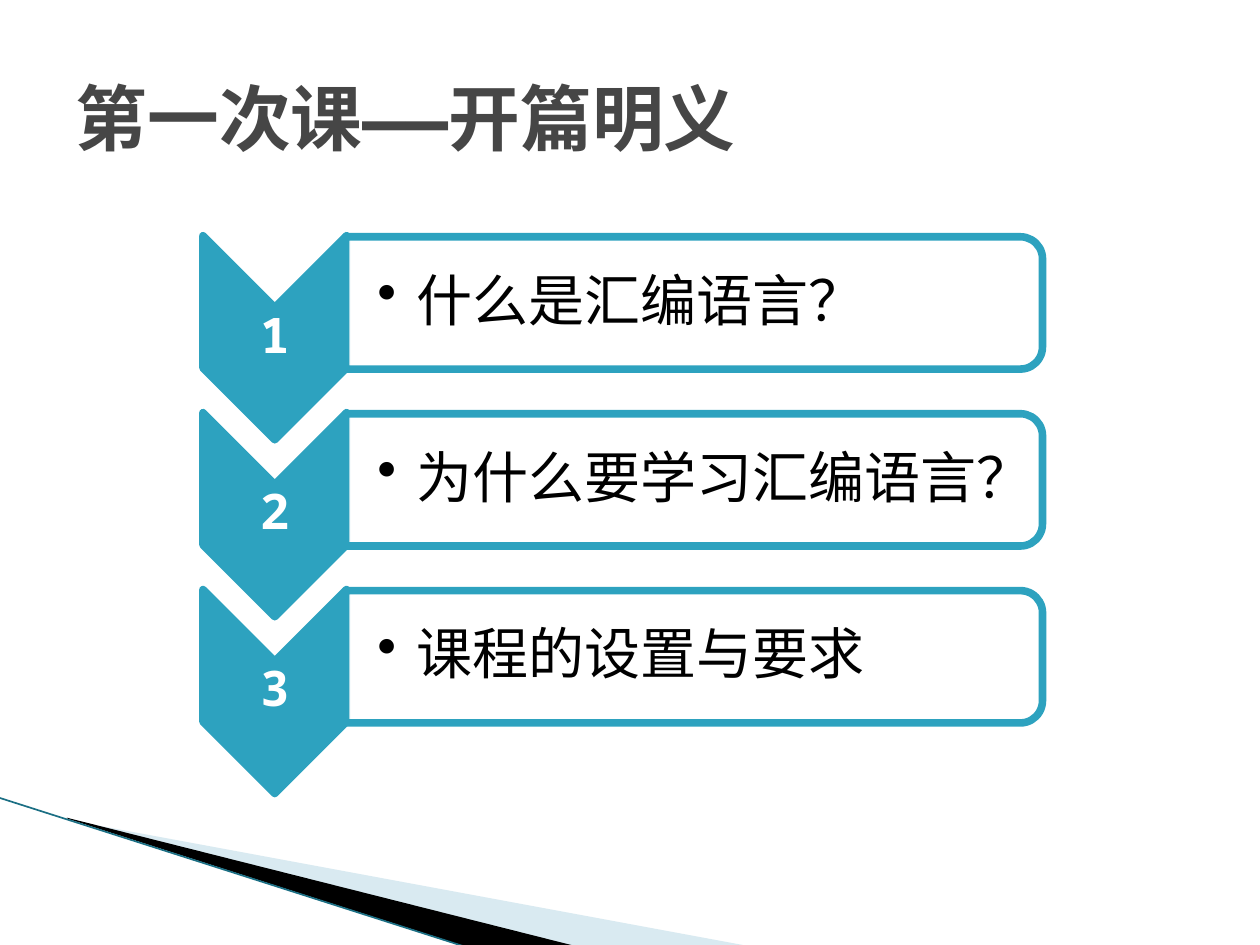
from lxml.etree import SubElement
from pptx import Presentation
from pptx.dml.color import RGBColor
from pptx.enum.shapes import MSO_CONNECTOR, MSO_SHAPE
from pptx.enum.text import MSO_ANCHOR, PP_ALIGN
from pptx.oxml.ns import qn
from pptx.util import Pt

TITLE = "第一次课——开篇明义"
TOPICS = ["什么是汇编语言？", "为什么要学习汇编语言？", "课程的设置与要求"]

FONT = "Noto Sans Mono"
TEAL = RGBColor(0x2D, 0xA2, 0xBF)
DARK_TEAL = RGBColor(0x1B, 0x6F, 0x84)
PALE_BLUE = RGBColor(0xA0, 0xCB, 0xDC)
GRAY = RGBColor(0x46, 0x46, 0x46)
WHITE = RGBColor(0xFF, 0xFF, 0xFF)
BLACK = RGBColor(0, 0, 0)

TITLE_FORMAT = {"size": Pt(41), "bold": True, "name": FONT}
NUMBER_FORMAT = {"size": Pt(28), "bold": True, "name": FONT}
TOPIC_FORMAT = {"size": Pt(32), "bold": False, "name": FONT}

WEDGES = [
    ([(39.6, 468.7), (428.4, 540.7), (328.3, 540.7), (39.6, 468)], PALE_BLUE, 40),
    ([(38.2, 467.3), (329, 540.7), (267.8, 541.4), (38.9, 468)], BLACK, 100),
]
EDGE = [(-0.7, 455.8), (267.1, 541.4)]

ROW_PITCH = 101.1
CHEVRON_CENTER = (157, 193)
CHEVRON_SIZE = (116.6, 82)
PANEL_CENTER = (396.6, 173.1)
PANEL_SIZE = (75.6, 398.2)
NUMBER_BOX = (116, 175, 82, 35.3)
TOPIC_BOX = (197.7, 138.9, 394.8, 68.4)


def set_fill(shape, color, opacity=100):
    shape.fill.solid()
    shape.fill.fore_color.rgb = color
    if opacity < 100:
        color_element = shape.fill._xPr.find(qn("a:solidFill"))[0]
        SubElement(color_element, qn("a:alpha"), val=str(opacity * 1000))


def write(frame, text, color, values):
    frame.word_wrap = True
    frame.vertical_anchor = MSO_ANCHOR.MIDDLE
    paragraph = frame.paragraphs[0]
    run = paragraph.add_run()
    run.text = text
    for name, value in values.items():
        setattr(run.font, name, value)
    run.font.color.rgb = color
    SubElement(run.font._element, qn("a:ea"), typeface=FONT)
    return paragraph


def add_wedge(slide, points, color, opacity):
    builder = slide.shapes.build_freeform(Pt(points[0][0]), Pt(points[0][1]))
    builder.add_line_segments([(Pt(x), Pt(y)) for x, y in points[1:]])
    wedge = builder.convert_to_shape()
    wedge.shadow.inherit = False
    wedge.line.fill.background()
    set_fill(wedge, color, opacity)


def add_turned_shape(slide, kind, center, size, offset, color, opacity=100):
    left, top = center[0] - size[0] / 2, center[1] - size[1] / 2 + offset
    shape = slide.shapes.add_shape(kind, Pt(left), Pt(top), Pt(size[0]), Pt(size[1]))
    shape.rotation = 90
    shape.shadow.inherit = False
    set_fill(shape, color, opacity)
    shape.line.color.rgb = TEAL
    shape.line.width = Pt(4.33)
    SubElement(shape.line._get_or_add_ln(), qn("a:round"))


def add_label(slide, box, offset, text, color, values, left_inset=1.4):
    left, top, width, height = box
    label = slide.shapes.add_textbox(Pt(left), Pt(top + offset), Pt(width), Pt(height))
    frame = label.text_frame
    for side in ("top", "right", "bottom"):
        setattr(frame, f"margin_{side}", Pt(1.4))
    frame.margin_left = Pt(left_inset)
    paragraph = write(frame, text, color, values)
    paragraph.line_spacing = 0.9
    return paragraph


def add_row(slide, index, topic):
    offset = index * ROW_PITCH
    add_turned_shape(slide, MSO_SHAPE.CHEVRON, CHEVRON_CENTER, CHEVRON_SIZE, offset, TEAL)
    number = add_label(slide, NUMBER_BOX, offset, str(index + 1), WHITE, NUMBER_FORMAT)
    number.alignment = PP_ALIGN.CENTER
    add_turned_shape(slide, MSO_SHAPE.ROUND_2_SAME_RECTANGLE, PANEL_CENTER, PANEL_SIZE,
                     offset, WHITE, 90)
    paragraph = add_label(slide, TOPIC_BOX, offset, topic, BLACK, TOPIC_FORMAT, 18)
    properties = paragraph._p.get_or_add_pPr()
    properties.set("marL", str(Pt(22.3)))
    properties.set("indent", str(-Pt(22.3)))
    SubElement(properties, qn("a:buChar"), char="•")


def main():
    presentation = Presentation()
    presentation.slide_width, presentation.slide_height = Pt(720), Pt(540)
    slide = presentation.slides.add_slide(presentation.slide_layouts[5])

    for points, color, opacity in WEDGES:
        add_wedge(slide, points, color, opacity)
    edge = slide.shapes.add_connector(
        MSO_CONNECTOR.STRAIGHT, *[Pt(value) for point in EDGE for value in point])
    edge.line.color.rgb = DARK_TEAL
    edge.line.width = Pt(0.95)
    SubElement(edge._element.spPr, qn("a:effectLst"))

    title = slide.shapes.title
    title.left, title.top, title.width, title.height = Pt(36), Pt(21.6), Pt(648), Pt(90)
    write(title.text_frame, TITLE, GRAY, TITLE_FORMAT).alignment = PP_ALIGN.LEFT

    for index, topic in enumerate(TOPICS):
        add_row(slide, index, topic)
    presentation.save("out.pptx")


if __name__ == "__main__":
    main()
